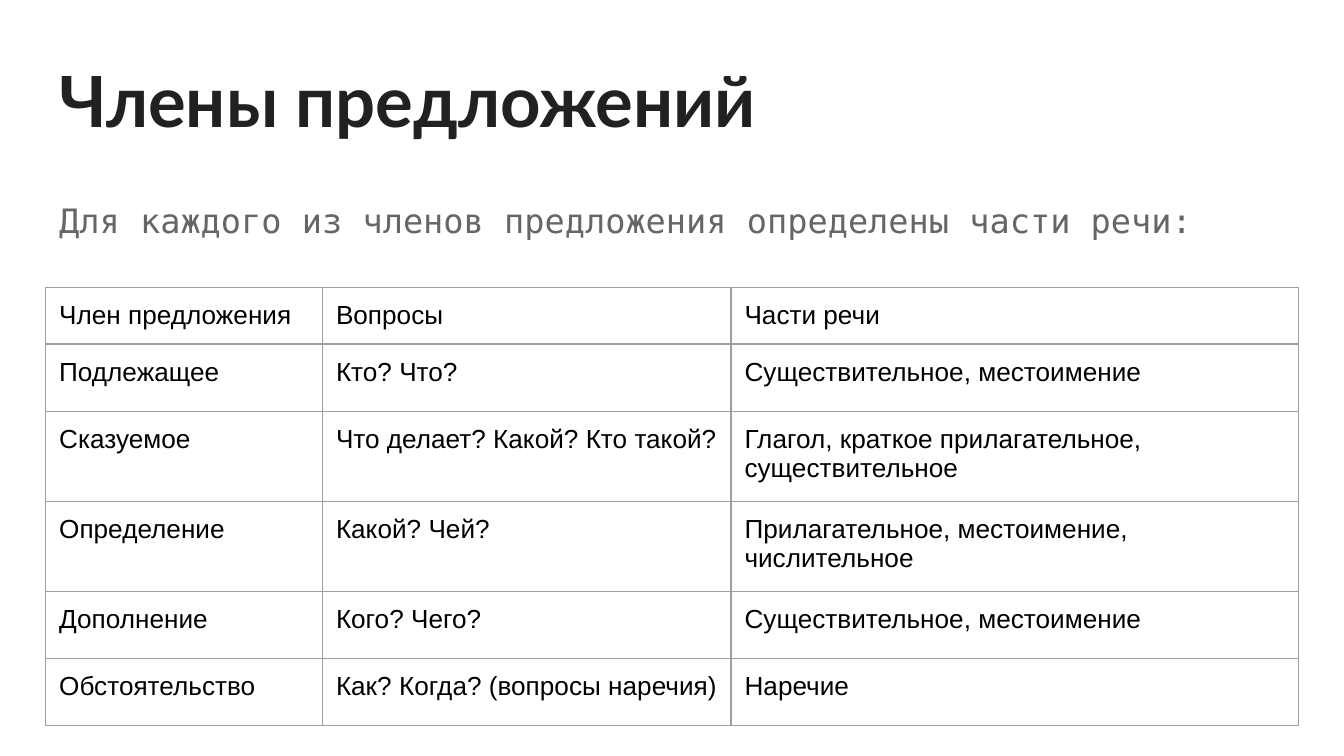
from lxml.etree import SubElement
from pptx import Presentation
from pptx.dml.color import RGBColor
from pptx.enum.text import MSO_ANCHOR as Anchor, MSO_AUTO_SIZE as AutoSize, PP_ALIGN as Align
from pptx.oxml.ns import qn
from pptx.util import Inches, Pt

COLORS = {"title": "212121", "intro": "666666", "cell": "000000",
          "border": "9E9E9E", "background": "FFFFFF"}
PADDING = 0.1
COLUMN_WIDTHS = [2.06, 3.04, 4.22]
ROW_HEIGHTS = [0.36, 0.5, 0.67, 0.67, 0.5, 0.5]
MEMBERS = [
    ("Член предложения", "Вопросы", "Части речи"),
    ("Подлежащее", "Кто? Что?", "Существительное, местоимение"),
    ("Сказуемое", "Что делает? Какой? Кто такой?",
     "Глагол, краткое прилагательное, существительное"),
    ("Определение", "Какой? Чей?", "Прилагательное, местоимение, числительное"),
    ("Дополнение", "Кого? Чего?", "Существительное, местоимение"),
    ("Обстоятельство", "Как? Когда? (вопросы наречия)", "Наречие"),
]


def pad(holder):
    """Give a text frame or a cell equal margins on all sides."""
    for side in ("left", "top", "right", "bottom"):
        setattr(holder, f"margin_{side}", Inches(PADDING))


def write(paragraph, wording, font, size, color, bold=False):
    """Add one formatted run to a left-aligned paragraph."""
    paragraph.alignment = Align.LEFT
    run = paragraph.add_run()
    run.text = wording
    run.font.name = font
    run.font.size = Pt(size)
    run.font.bold = bold
    run.font.color.rgb = RGBColor.from_string(COLORS[color])


def place(placeholder, box):
    """Move a placeholder into a box and return its first paragraph."""
    left, top, width, height = map(Inches, box)
    placeholder.left, placeholder.top = left, top
    placeholder.width, placeholder.height = width, height
    frame = placeholder.text_frame
    frame.word_wrap = True
    frame.auto_size = AutoSize.NONE
    frame.vertical_anchor = Anchor.TOP
    pad(frame)
    return frame.paragraphs[0]


def add_heading(slide, box):
    """Fill the title placeholder."""
    heading = place(slide.shapes.title, box)
    write(heading, "Члены предложений", "Lato", 37.8, "title", bold=True)


def add_intro(slide, box):
    """Fill the body placeholder with an unbulleted sentence."""
    intro = place(slide.placeholders[1], box)
    intro.line_spacing = 1.15
    intro.space_before = Pt(0)
    intro.space_after = Pt(12)
    properties = intro._p.get_or_add_pPr()
    properties.set("marL", "0")
    properties.set("indent", "0")
    SubElement(properties, qn("a:buNone"))
    write(intro, "Для каждого из членов предложения определены части речи:",
          "DejaVu Sans Mono", 18, "intro")


def outline(cell):
    """Draw a thin border on every side of a cell."""
    properties = cell._tc.get_or_add_tcPr()
    for position, side in enumerate(("lnL", "lnR", "lnT", "lnB")):
        line = SubElement(properties, qn(f"a:{side}"), w=str(Pt(0.75)))
        fill = SubElement(line, qn("a:solidFill"))
        SubElement(fill, qn("a:srgbClr"), val=COLORS["border"])
        properties.insert(position, line)


def add_members_table(slide, left, top):
    """Add the table of sentence members, questions and parts of speech."""
    table = slide.shapes.add_table(
        len(MEMBERS), len(COLUMN_WIDTHS), Inches(left), Inches(top),
        Inches(sum(COLUMN_WIDTHS)), Inches(sum(ROW_HEIGHTS))).table
    table.first_row = table.horz_banding = False
    for column, width in zip(table.columns, COLUMN_WIDTHS):
        column.width = Inches(width)
    for row, height, wordings in zip(table.rows, ROW_HEIGHTS, MEMBERS):
        row.height = Inches(height)
        for cell, wording in zip(row.cells, wordings):
            pad(cell)
            cell.vertical_anchor = Anchor.TOP
            cell.fill.background()
            outline(cell)
            write(cell.text_frame.paragraphs[0], wording, "Arial", 14, "cell")


def main():
    """Build and save the slide."""
    deck = Presentation()
    deck.slide_width = Inches(10)
    deck.slide_height = deck.slide_width * 9 // 16
    slide = deck.slides.add_slide(deck.slide_layouts[1])
    backdrop = slide.background.fill
    backdrop.solid()
    backdrop.fore_color.rgb = RGBColor.from_string(COLORS["background"])
    left, width = 0.34, 9.32
    add_heading(slide, (left, 0.32, width, 0.88))
    add_intro(slide, (left, 1.34, width, 3.65))
    add_members_table(slide, left, 2.14)
    deck.save("out.pptx")


if __name__ == "__main__":
    main()
